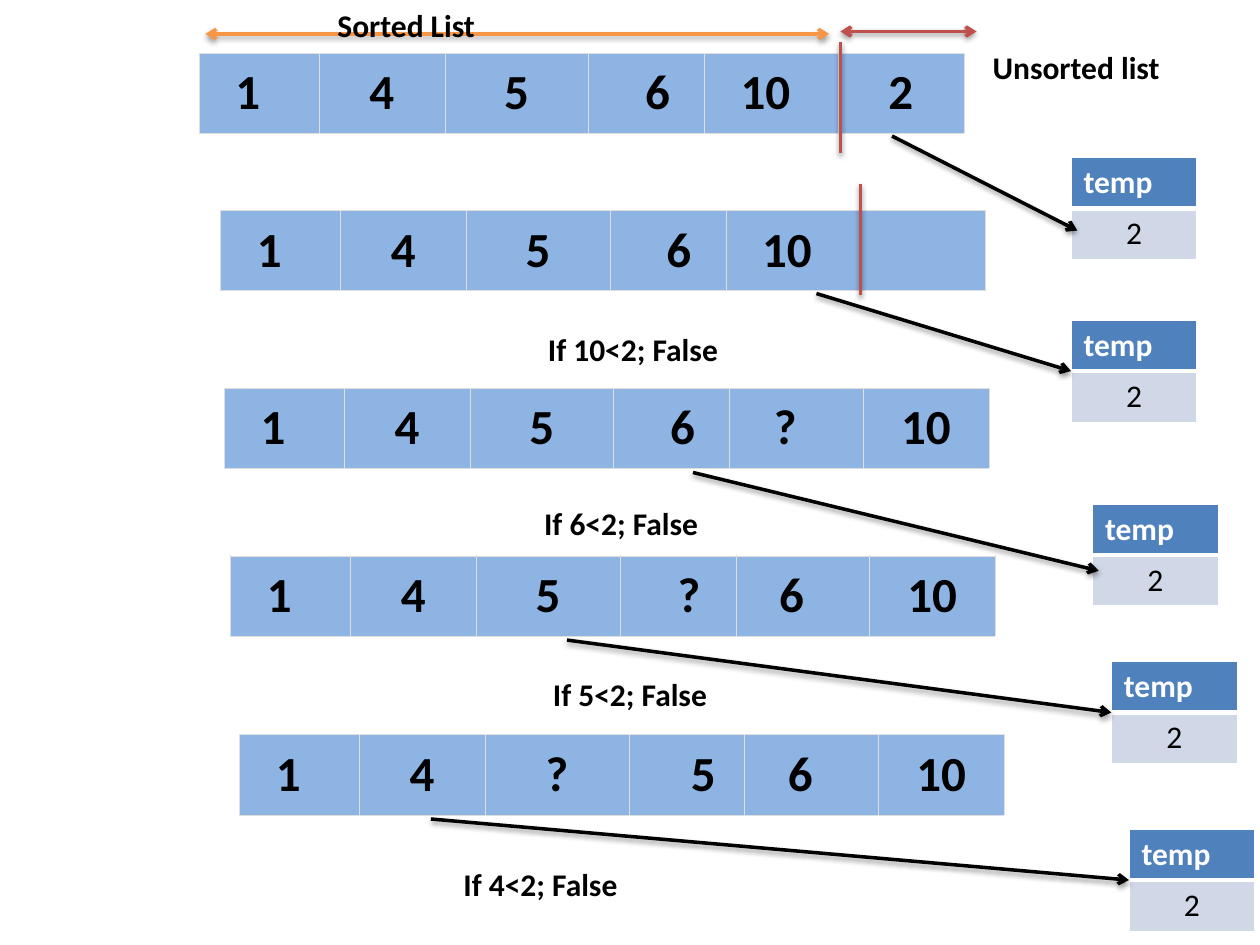
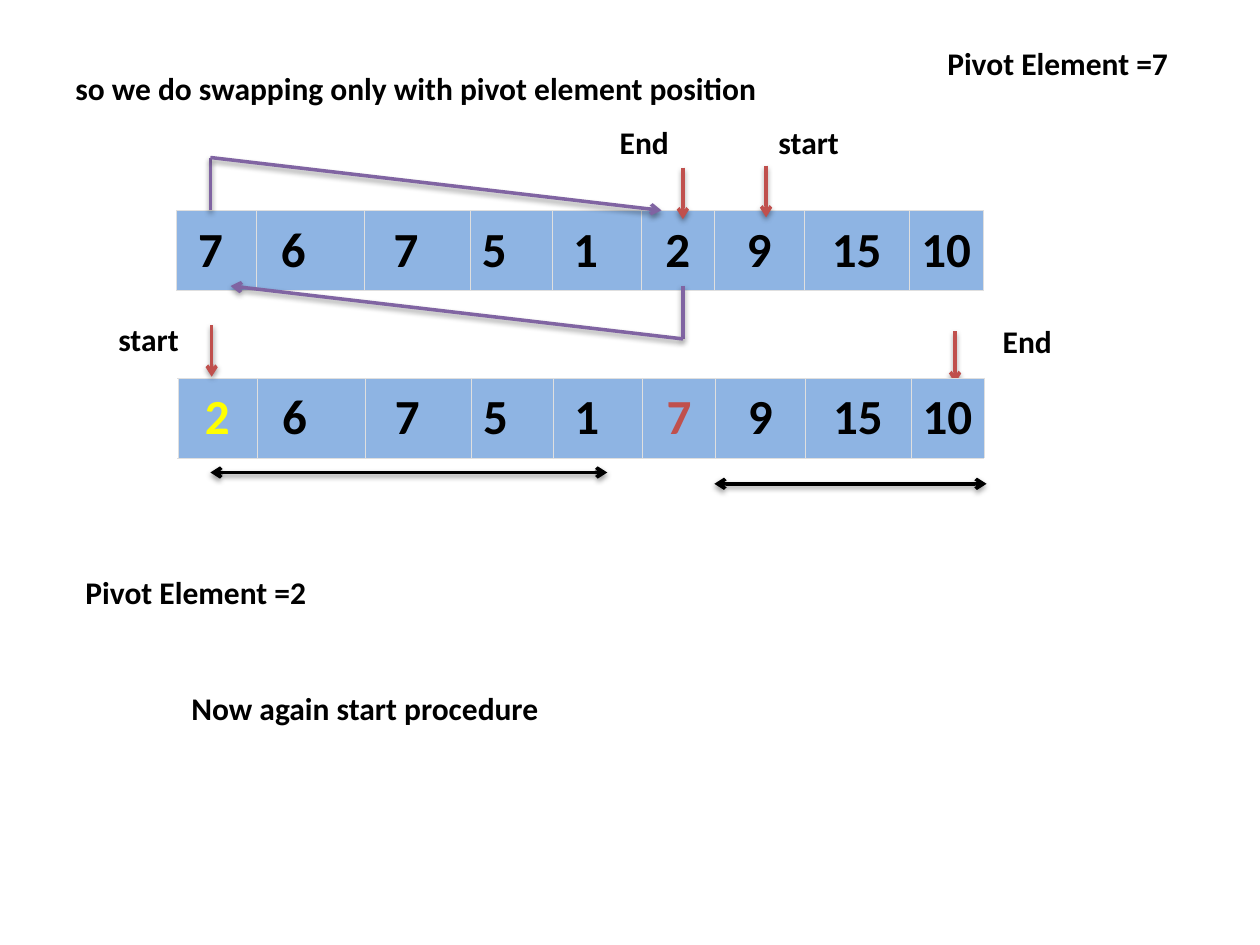
from lxml import etree
from pptx import Presentation
from pptx.dml.color import RGBColor
from pptx.enum.shapes import MSO_CONNECTOR
from pptx.enum.text import MSO_ANCHOR, MSO_AUTO_SIZE, PP_ALIGN
from pptx.oxml.ns import qn
from pptx.util import Inches, Pt

STRAIGHT = MSO_CONNECTOR.STRAIGHT
MIDDLE = MSO_ANCHOR.MIDDLE
FIT_SHAPE = MSO_AUTO_SIZE.SHAPE_TO_FIT_TEXT
LEFT, CENTER = PP_ALIGN.LEFT, PP_ALIGN.CENTER

SLIDE_WIDTH, SLIDE_HEIGHT = Inches(10), Inches(7.5)
GRID_COLUMNS = 100
FONT = "Calibri"
BLACK, WHITE = "000000", "FFFFFF"
RED, ORANGE, PURPLE, YELLOW = "C0504D", "F79646", "8064A2", "FFFF00"
LIST_FILL, LIST_BORDER = "8EB4E3", "DFDFDF"
TEMP_HEAD, TEMP_BODY = "4F81BD", "D0D8E8"
LEFT_SIDE = 1

LIST_HEIGHT = 6.3
NUDGE = 0.88
INSERTION_COLUMNS = [9.5, 10, 11.4, 9.2, 10.6, 10]
PARTITION_COLUMNS = [6.3, 8.6, 8.4, 6.5, 7.1, 5.8, 7.1, 8.4, 5.8]


def cells(count):
    """Turn a number of grid cells into a length."""
    return round(SLIDE_WIDTH * count / GRID_COLUMNS)


def rgb(color):
    """Turn a hex string into a colour."""
    return RGBColor.from_string(color)


def add_span(para, text, size=18, color=BLACK, bold=True):
    """Add one formatted run to a paragraph."""
    span = para.add_run()
    span.text = text
    span.font.name = FONT
    span.font.size = Pt(size)
    span.font.bold = bold
    span.font.color.rgb = rgb(color)


def add_label(page, left, top, width, text, wraps=False):
    """Add a bold caption."""
    box = page.shapes.add_textbox(cells(left), cells(top), cells(width), cells(4))
    frame = box.text_frame
    frame.word_wrap = wraps
    frame.auto_size = FIT_SHAPE
    add_span(frame.paragraphs[0], text)


def set_borders(cell, color, left=1, right=1, top=1, bottom=1):
    """Draw the four borders of a table cell, with widths in points."""
    properties = cell._tc.get_or_add_tcPr()
    sides = zip(("lnL", "lnR", "lnT", "lnB"), (left, right, top, bottom))
    for position, (side, width) in enumerate(sides):
        border = etree.Element(qn(f"a:{side}"), w=str(int(Pt(width))))
        fill = etree.SubElement(border, qn("a:solidFill"))
        etree.SubElement(fill, qn("a:srgbClr"), val=color)
        properties.insert(position, border)


def fill_cell(cell, color):
    """Fill a table cell with one colour."""
    cell.fill.solid()
    cell.fill.fore_color.rgb = rgb(color)


def add_grid(page, left, top, columns, rows):
    """Add a plain table and return its frame."""
    frame = page.shapes.add_table(len(rows), len(columns), cells(left), cells(top),
                                  cells(sum(columns)), cells(sum(rows)))
    table = frame.table
    table.horz_banding = False
    for column, width in zip(table.columns, columns):
        column.width = cells(width)
    for row, height in zip(table.rows, rows):
        row.height = cells(height)
    return frame


def add_list(page, left, top, columns, values):
    """Add a row of values, each nudged left or right of its cell's centre."""
    table = add_grid(page, left, top, columns, [LIST_HEIGHT]).table
    for index, (text, shift, color) in enumerate(values):
        cell = table.cell(0, index)
        margin = 0.8 if index else 0.4
        cell.margin_left = cells(margin + NUDGE * max(shift, 0))
        cell.margin_right = cells(margin + NUDGE * max(-shift, 0))
        cell.margin_top = cell.margin_bottom = cells(0.8)
        cell.vertical_anchor = MIDDLE
        fill_cell(cell, LIST_FILL)
        set_borders(cell, LIST_BORDER, 0.18, 0.18, 0.18, 0.18)
        para = cell.text_frame.paragraphs[0]
        para.alignment = CENTER
        if text:
            add_span(para, text, 28, color)


def add_temp(page, left, top):
    """Add the small table that holds the temp variable."""
    frame = add_grid(page, left, top, [10], [4.05, 4.05])
    head, body = frame.table.cell(0, 0), frame.table.cell(1, 0)
    for cell, text, fill, color, align in ((head, "temp", TEMP_HEAD, WHITE, LEFT),
                                           (body, "2", TEMP_BODY, BLACK, CENTER)):
        fill_cell(cell, fill)
        para = cell.text_frame.paragraphs[0]
        para.alignment = align
        add_span(para, text, color=color, bold=cell is head)
    set_borders(head, WHITE, bottom=3)
    set_borders(body, WHITE, top=3)
    return frame


def add_line(page, start, end, color, head=False, tail=False):
    """Add a straight line with a soft shadow and optional arrowheads."""
    line = page.shapes.add_connector(STRAIGHT, *map(cells, start + end))
    line.line.width = Pt(2)
    line.line.color.rgb = rgb(color)
    outline = line.line._get_or_add_ln()
    for shown, name in ((head, "headEnd"), (tail, "tailEnd")):
        if shown:
            etree.SubElement(outline, qn(f"a:{name}"), type="arrow")
    effects = etree.SubElement(line._element.spPr, qn("a:effectLst"))
    shadow = etree.SubElement(effects, qn("a:outerShdw"), blurRad=str(Pt(3.1)),
                              dist=str(Pt(1.6)), dir="5400000", rotWithShape="0")
    shade = etree.SubElement(shadow, qn("a:srgbClr"), val=BLACK)
    etree.SubElement(shade, qn("a:alpha"), val="38000")
    return line


def add_down_arrow(page, left, top):
    """Add a short red pointer to a list position."""
    add_line(page, (left, top), (left, top + 4.1), RED, tail=True)


def add_step(page, corner, texts, shifts, temp_corner, start, tip=None):
    """Add a list state, its temp table and the arrow between them."""
    values = [(text, shift, BLACK) for text, shift in zip(texts, shifts)]
    add_list(page, *corner, INSERTION_COLUMNS, values)
    temp = add_temp(page, *temp_corner)
    end = tip or (temp_corner[0], temp_corner[1] + 4.05)
    arrow = add_line(page, start, end, BLACK, tail=True)
    if tip is None:
        arrow.end_connect(temp, LEFT_SIDE)


def build_insertion(page):
    """Show how 2 moves through the sorted list."""
    settled = [-2, 0, 0, 2, -1, 0]
    moved = [-2, 0, 0, 2, -2, 0]
    add_step(page, (15.8, 4.2), ["1", "4", "5", "6", "10", "2"], settled,
             (85, 12.5), (70.8, 10.8), (85.5, 18.3))
    add_step(page, (17.5, 16.7), ["1", "4", "5", "6", "10", ""], settled,
             (85, 25.4), (64.8, 23.3))
    add_step(page, (17.8, 30.8), ["1", "4", "5", "6", "?", "10"], moved,
             (86.7, 40), (55, 37.5), (87.2, 45.3))
    add_step(page, (18.3, 44.1), ["1", "4", "5", "?", "6", "10"], moved,
             (88.2, 52.5), (45, 50.8))
    add_step(page, (19, 58.3), ["1", "4", "?", "5", "6", "10"], [-2, 0, 0, 3, -2, 0],
             (89.6, 65.8), (34.2, 65))

    add_line(page, (66.7, 2.5), (77.5, 2.5), RED, head=True, tail=True)
    add_line(page, (16.3, 2.7), (65.8, 2.7), ORANGE, head=True, tail=True)
    for left, top in ((66.7, 3.3), (68.3, 14.6)):
        add_line(page, (left, top), (left, top + 8.85), RED)

    add_label(page, 25.8, 0, 13, "Sorted List")
    add_label(page, 77.8, 3.3, 15.4, "Unsorted list")
    add_label(page, 42.5, 25.7, 25.8, "If 10<2; False", wraps=True)
    for left, top, value in ((42.2, 39.5, 6), (42.9, 53.1, 5), (35.8, 68.2, 4)):
        add_label(page, left, top, 14.4, f"If {value}<2; False")


def build_partition(page):
    """Show the pivot swap and the two parts it leaves."""
    middle = [("6", -3, BLACK), ("7", -2, BLACK), ("5", -3, BLACK), ("1", -2, BLACK)]
    upper = [(text, 0, BLACK) for text in ("9", "15", "10")]
    before = [("7", -1, BLACK), *middle, ("2", 0, BLACK), *upper]
    after = [("2", 0, YELLOW), *middle, ("7", 0, RED), *upper]

    add_list(page, 14, 16.7, PARTITION_COLUMNS, before)
    add_down_arrow(page, 75.8, 26.3)
    add_list(page, 14.1, 30, PARTITION_COLUMNS, after)
    for left, top in ((54.2, 13.3), (60.8, 13.15), (16.8, 25.8)):
        add_down_arrow(page, left, top)

    for foot, corner, tip in (((54.2, 22.7), (54.2, 26.9), (18.3, 22.7)),
                              ((16.7, 16.7), (16.7, 12.5), (52.5, 16.7))):
        add_line(page, foot, corner, PURPLE)
        add_line(page, corner, tip, PURPLE, tail=True)
    for left, right, top in ((16.7, 48.2, 37.5), (56.7, 78.3, 38.4)):
        add_line(page, (left, top), (right, top), BLACK, head=True, tail=True)

    add_label(page, 5, 5, 73.3, "so we do swapping only with pivot element position",
              wraps=True)
    for left, top, width, text in ((74.2, 3, 19.7, "Pivot Element =7"),
                                   (48.2, 9.3, 5.9, "End"),
                                   (60.8, 9.3, 6.9, "start"),
                                   (8.4, 24.9, 6.9, "start"),
                                   (78.6, 25.1, 5.9, "End"),
                                   (5.8, 45, 19.7, "Pivot Element =2"),
                                   (14.2, 54.2, 29.8, "Now again start procedure")):
        add_label(page, left, top, width, text)


def main():
    """Build the two slides and save the deck."""
    deck = Presentation()
    deck.slide_width, deck.slide_height = SLIDE_WIDTH, SLIDE_HEIGHT
    blank = deck.slide_layouts[6]
    for build in (build_insertion, build_partition):
        build(deck.slides.add_slide(blank))
    deck.save("out.pptx")


if __name__ == "__main__":
    main()
